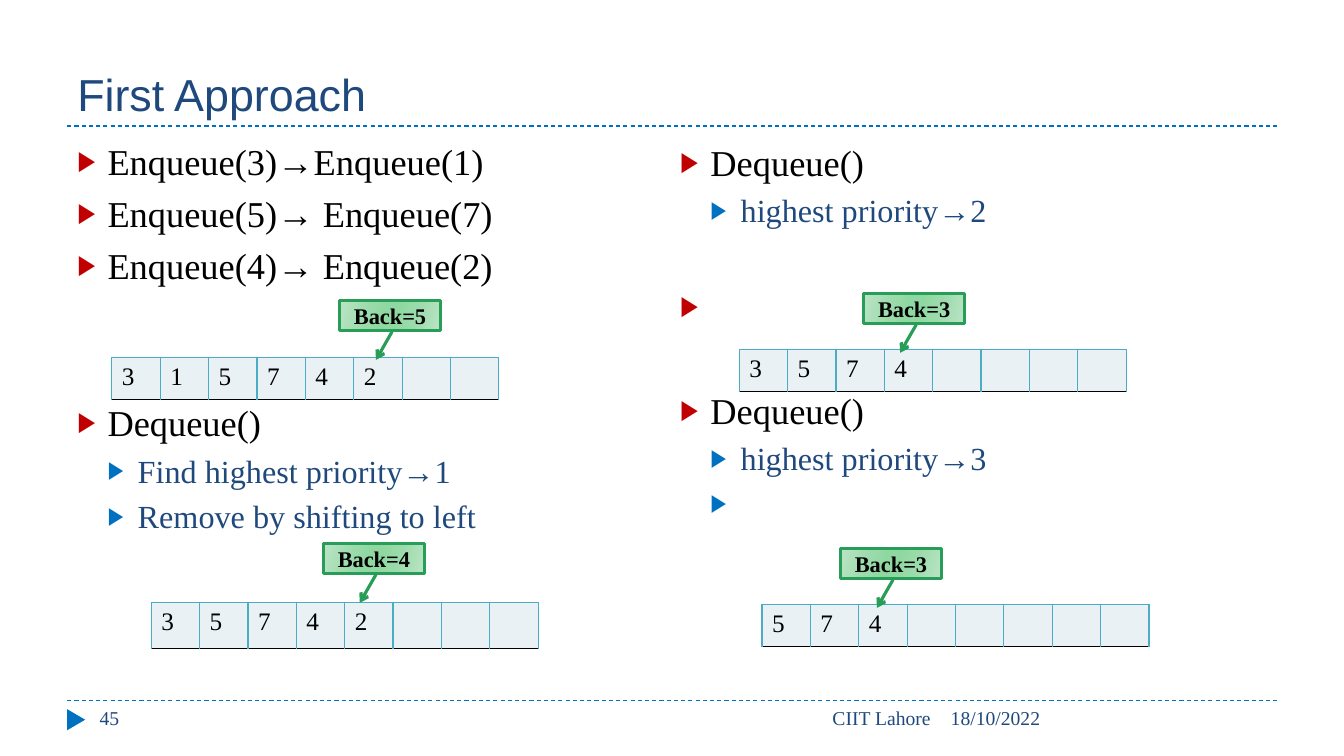
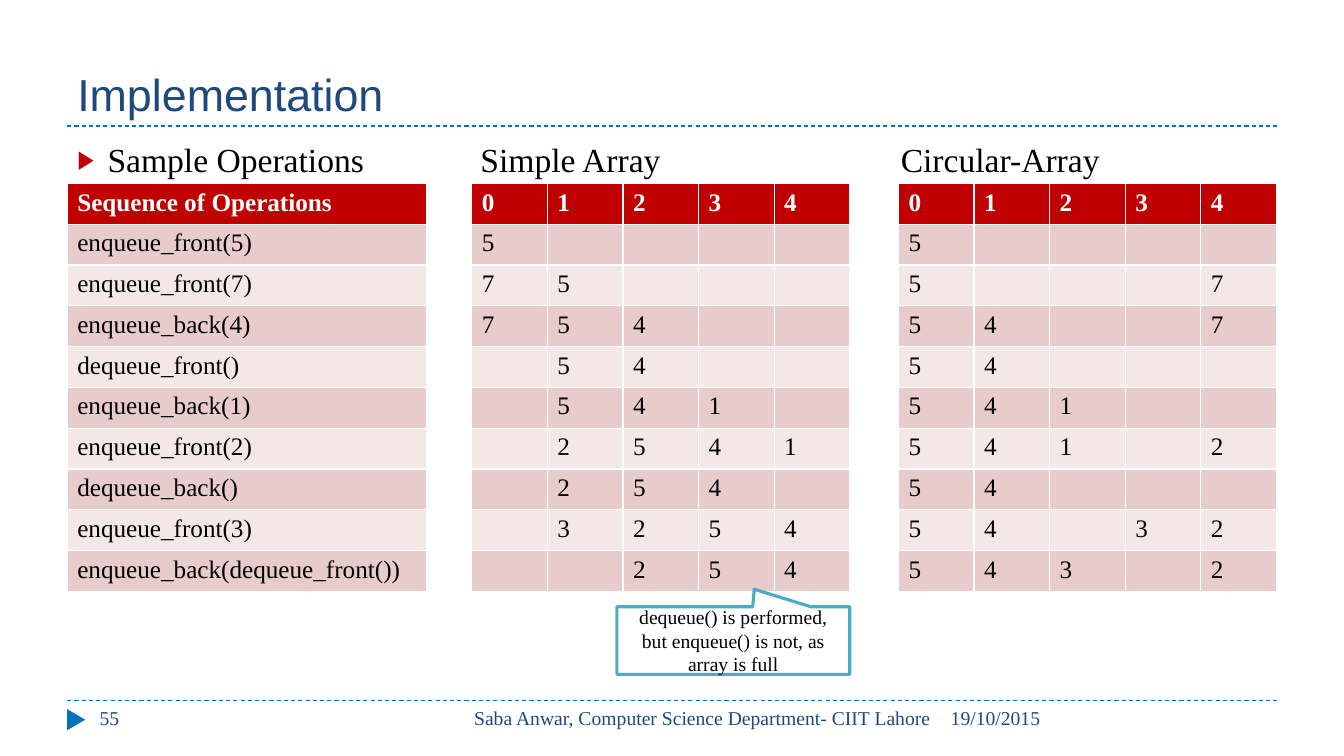
"""Build two lecture slides on priority queues and deques over a 40 by 30 grid."""
from lxml.etree import SubElement
from pptx import Presentation
from pptx.dml.color import RGBColor
from pptx.enum.dml import MSO_LINE_DASH_STYLE as Dash
from pptx.enum.shapes import MSO_CONNECTOR as Connector, MSO_SHAPE as Shape
from pptx.enum.text import MSO_ANCHOR as Anchor, MSO_AUTO_SIZE as AutoSize, PP_ALIGN as Align
from pptx.oxml.ns import qn
from pptx.util import Inches, Pt

COLOURS = {
    "navy": "1F497D", "blue": "0070C0", "red": "C00000", "black": "000000", "white": "FFFFFF",
    "teal": "4BACC6", "ice": "E9F1F5", "rose": "E8CCCC", "blush": "F4E7E7", "green": "279D57",
    "mint": "BBE4C5", "fern": "9BDBAB", "leaf": "8FD8A1",
}
RGB = {name: RGBColor.from_string(value) for name, value in COLOURS.items()}
SERIF = "Times New Roman"
FORMATS = {
    "title": ({"size": Pt(32), "name": "Arial"}, "navy"),
    "footer": ({"size": Pt(14), "name": SERIF}, "navy"),
    "heading": ({"size": Pt(24), "name": SERIF}, "black"),
    "item": ({"size": Pt(26), "name": SERIF}, "black"),
    "subitem": ({"size": Pt(23), "name": SERIF}, "navy"),
    "back": ({"size": Pt(16), "name": SERIF, "bold": True}, "black"),
    "remark": ({"size": Pt(14), "name": SERIF}, "black"),
    "header": ({"size": Pt(18), "name": SERIF, "bold": True}, "white"),
    "cell": ({"size": Pt(18), "name": SERIF, "bold": False}, "black"),
}

deck = Presentation()
deck.slide_width, deck.slide_height = Inches(40 / 3), Inches(7.5)
COLUMN, ROW = deck.slide_width / 40, deck.slide_height / 30


def place(left, top, width, height):
    """Turn columns and rows into lengths."""
    return [round(n * unit) for n, unit in zip((left, top, width, height), (COLUMN, ROW) * 2)]


def write(para, text, style, align=Align.LEFT):
    """Add one formatted span to a paragraph."""
    para.alignment = align
    span = para.add_run()
    span.text = text
    values, colour = FORMATS[style]
    for name, value in values.items():
        setattr(span.font, name, value)
    span.font.color.rgb = RGB[colour]


pages, bodies = [], []
for title, number, lecture, date in (
    ("First Approach", "45", "CIIT Lahore", "18/10/2022"),
    ("Implementation", "55", "Saba Anwar, Computer Science Department- CIIT Lahore", "19/10/2015"),
):
    page = deck.slides.add_slide(deck.slide_layouts[1])
    pages.append(page)
    for row in (27.8, 5):
        left, top, width, _ = place(2, row, 36, 0)
        rule = page.shapes.add_connector(Connector.STRAIGHT, left, top, left + width, top)
        rule.line.color.rgb = RGB["blue"]
        rule.line.width = Pt(0.75)
        rule.line.dash_style = Dash.DASH
        SubElement(rule.element.spPr, qn("a:effectLst"))
    marker = page.shapes.add_shape(Shape.ISOSCELES_TRIANGLE, *place(1.95, 28.2, 0.63, 0.72))
    marker.rotation = 90
    marker.shadow.inherit = False
    marker.fill.solid()
    marker.fill.fore_color.rgb = RGB["blue"]
    marker.line.fill.background()
    heading, body = page.placeholders
    bodies.append(body.text_frame)
    for holder, area in ((heading, (2, 0.68, 36, 4.32)), (body, (2, 5.32, 36, 21.6))):
        holder.left, holder.top, holder.width, holder.height = place(*area)
        holder.text_frame.auto_size = AutoSize.NONE
    heading.text_frame.vertical_anchor = Anchor.BOTTOM
    write(heading.text_frame.paragraphs[0], title, "title")
    for text, left, width, align in (
        (date, 28, 10, Align.LEFT),
        (lecture, 12.67, 15.33, Align.RIGHT),
        (number, 2.67, 8.67, Align.LEFT),
    ):
        footer = page.shapes.add_textbox(*place(left, 27.8, width, 1.6)).text_frame
        footer.word_wrap = True
        write(footer.paragraphs[0], text, "footer", align)

approach, implementation = pages
right_list = approach.shapes.add_textbox(*place(19.95, 5.36, 18, 21.6)).text_frame
right_list.word_wrap = True
LISTS = (
    (bodies[0], (
        ("Enqueue(3)→Enqueue(1)", "item", 0), ("Enqueue(5)→ Enqueue(7)", "item", 6),
        ("Enqueue(4)→ Enqueue(2)", "item", 6), ("Dequeue()", "item", 81),
        ("Find highest priority→1", "subitem", 5), ("Remove by shifting to left", "subitem", 5),
    )),
    (right_list, (
        ("Dequeue()", "item", 0), ("highest priority→2", "subitem", 5), (" ", "item", 39),
        ("Dequeue()", "item", 43), ("highest priority→3", "subitem", 5), (" ", "subitem", 5),
    )),
    (bodies[1], (("Sample Operations\tSimple Array\tCircular-Array", "heading", 0),)),
)
for frame, items in LISTS:
    for index, (text, style, space) in enumerate(items):
        para = frame.add_paragraph() if index else frame.paragraphs[0]
        para.level = 1 if style == "subitem" else 0
        layout = para._p.get_or_add_pPr()
        layout.set("marL", str(Inches(0.3 * (para.level + 1))))
        layout.set("indent", str(Inches(-0.3)))
        tint = SubElement(layout, qn("a:buClr"))
        SubElement(tint, qn("a:srgbClr"), val=COLOURS["blue" if para.level else "red"])
        SubElement(layout, qn("a:buSzPct"), val="76000")
        SubElement(layout, qn("a:buFont"), typeface="Arial")
        SubElement(layout, qn("a:buChar"), char="▶")
        if "\t" in text:
            stops = SubElement(layout, qn("a:tabLst"))
            for stop in (4, 8.17):
                SubElement(stops, qn("a:tab"), pos=str(Inches(stop)), algn="l")
        para.space_before = Pt(space)
        write(para, text, style)

OPERATIONS = (
    "Sequence of Operations", "enqueue_front(5)", "enqueue_front(7)", "enqueue_back(4)",
    "dequeue_front()", "enqueue_back(1)", "enqueue_front(2)", "dequeue_back()",
    "enqueue_front(3)", "enqueue_back(dequeue_front())",
)
SIMPLE = ("01234", "5....", "75...", "754..", ".54..", ".541.", ".2541", ".254.", ".3254", "..254")
CIRCULAR = ("01234", "5....", "5...7", "54..7", "54...", "541..", "541.2", "54...", "54.32", "543.2")
TABLES = (
    (approach, 3.33, 14.2, 1.44, 1.64, ["315742.."]),
    (approach, 4.5, 23.92, 1.44, 1.8, ["35742..."]),
    (approach, 22, 13.88, 1.44, 1.64, ["3574...."]),
    (approach, 22.68, 24, 1.44, 1.64, ["574....."]),
    (implementation, 14.04, 7.28, 2.25, 1.62, SIMPLE),
    (implementation, 26.74, 7.28, 2.25, 1.62, CIRCULAR),
    (implementation, 2, 7.28, 10.71, 1.62, [[name] for name in OPERATIONS]),
)
BORDERS = {"a:lnL": "teal", "a:lnR": "teal", "a:lnT": "teal", "a:lnB": "black"}
for page, left, top, width, height, rows in TABLES:
    area = place(left, top, width * len(rows[0]), height * len(rows))
    table = page.shapes.add_table(len(rows), len(rows[0]), *area).table
    for track in table.columns:
        track.width = round(width * COLUMN)
    for track in table.rows:
        track.height = round(height * ROW)
    is_array = page is approach
    table.first_row = not is_array
    for r, values in enumerate(rows):
        for c, value in enumerate(values):
            cell = table.cell(r, c)
            if is_array:
                for side, colour in BORDERS.items():
                    edge = SubElement(cell._tc.get_or_add_tcPr(), qn(side), w=str(Pt(1)))
                    SubElement(SubElement(edge, qn("a:solidFill")), qn("a:srgbClr"), val=COLOURS[colour])
            band = "ice" if is_array else "red" if r == 0 else "rose" if r % 2 else "blush"
            cell.fill.solid()
            cell.fill.fore_color.rgb = RGB[band]
            if value != ".":
                write(cell.text_frame.paragraphs[0], value, "header" if band == "red" else "cell")

GRADIENT = ((0, "mint"), (30, "fern"), (45, "leaf"), (55, "leaf"), (73, "fern"), (100, "mint"))
POINTER, BUBBLE = (1.04, 0.52, 1.97, 0.36), (0.09, -0.76)
CALLOUTS = (
    (approach, "Back=5", 10.11, 11.92), (approach, "Back=4", 9.63, 21.56),
    (approach, "Back=3", 25.71, 11.64), (approach, "Back=3", 25.02, 21.76),
    (implementation, "dequeue() is performed, but enqueue() is not, as array is full", 18.36, 24.08),
)
for page, text, left, top in CALLOUTS:
    is_pointer = page is approach
    kind = Shape.LINE_CALLOUT_1 if is_pointer else Shape.RECTANGULAR_CALLOUT
    size = (3, 1.2) if is_pointer else (6.93, 2.68)
    callout = page.shapes.add_shape(kind, *place(left, top, *size))
    callout.shadow.inherit = False
    for index, share in enumerate(POINTER if is_pointer else BUBBLE):
        callout.adjustments[index] = share
    callout.line.width = Pt(2.25)
    callout.line.color.rgb = RGB["green" if is_pointer else "teal"]
    if is_pointer:
        callout.fill.gradient()
        callout.fill.gradient_angle = 344
        stops = callout.element.spPr.find(qn("a:gradFill")).find(qn("a:gsLst"))
        stops.clear()
        for share, colour in GRADIENT:
            stop = SubElement(stops, qn("a:gs"), pos=str(share * 1000))
            SubElement(stop, qn("a:srgbClr"), val=COLOURS[colour])
        SubElement(callout.element.spPr.find(qn("a:ln")), qn("a:tailEnd"), type="arrow")
    else:
        callout.fill.solid()
        callout.fill.fore_color.rgb = RGB["white"]
    callout.text_frame.word_wrap = True
    callout.text_frame.vertical_anchor = Anchor.MIDDLE
    write(callout.text_frame.paragraphs[0], text, "back" if is_pointer else "remark", Align.CENTER)

deck.save("out.pptx")
